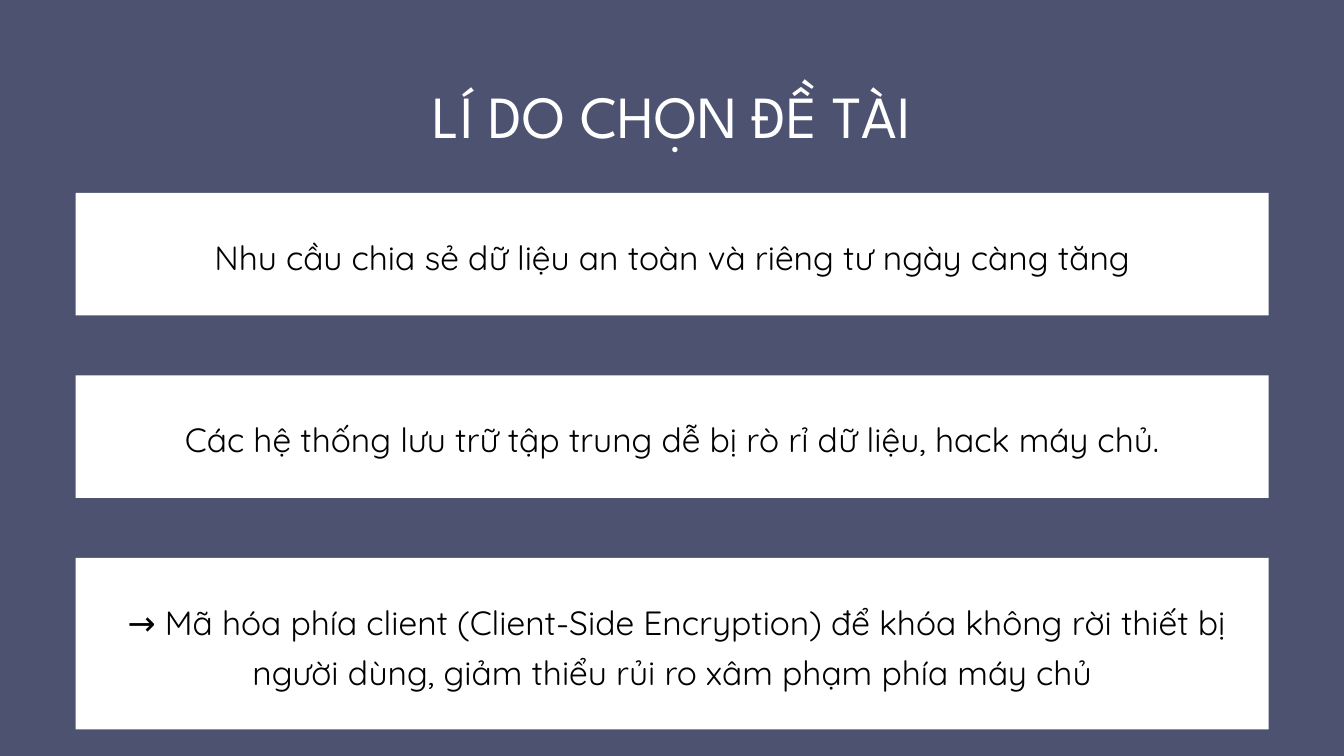
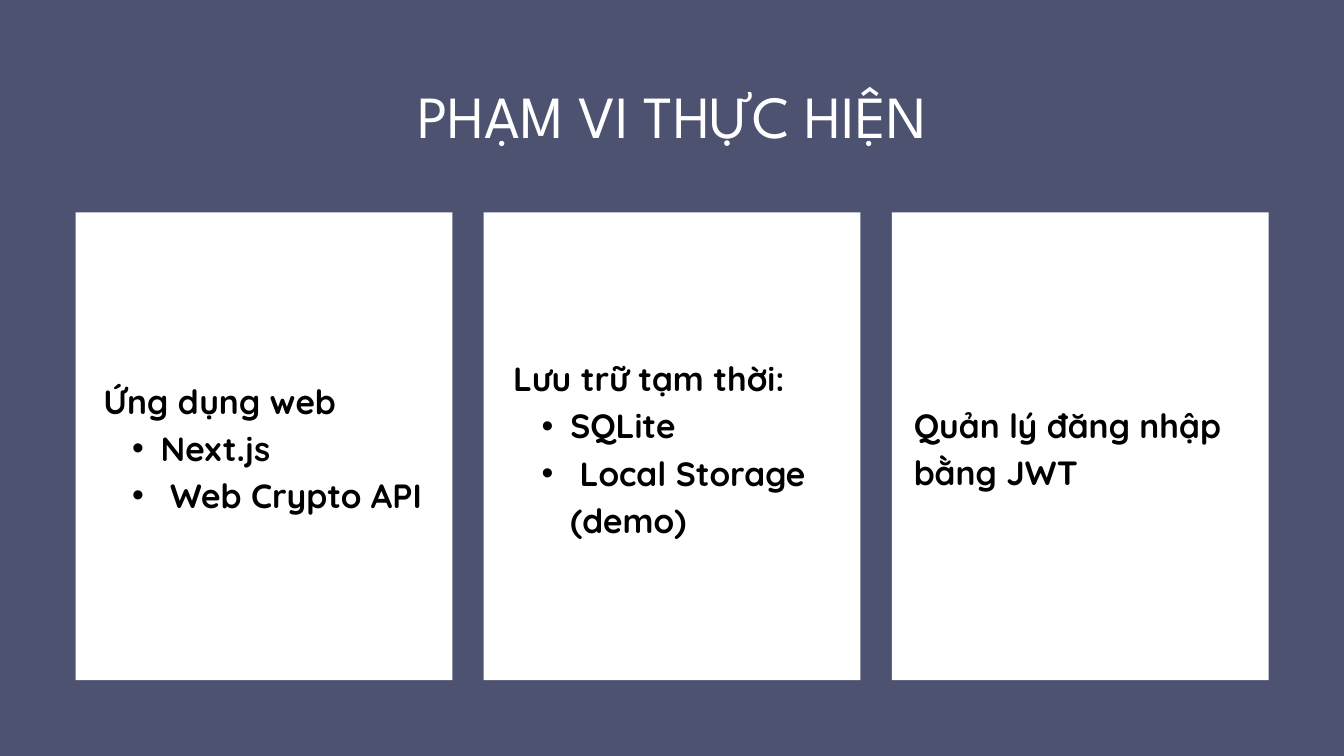
import pptx
import pptx.dml.color
import pptx.enum.shapes
import pptx.enum.text
import pptx.oxml.ns
import pptx.util
from lxml import etree
from pptx.util import Cm, Pt

# Shared look
SLATE = pptx.dml.color.RGBColor(0x4C, 0x52, 0x70)
WHITE = pptx.dml.color.RGBColor(0xFF, 0xFF, 0xFF)
BLACK = pptx.dml.color.RGBColor(0x00, 0x00, 0x00)
TITLE_FONT = "League Spartan"
BODY_FONT = "Quicksand"
CENTER = pptx.enum.text.PP_ALIGN.CENTER
LEFT = pptx.enum.text.PP_ALIGN.LEFT

# Shared layout, in centimetres
MARGIN = 2.86
CONTENT_WIDTH = 45.09
TITLE_BOX = (3.9, 2.52, 43, 3.04)

TITLE_ONLY, TWO_CONTENT = 5, 3


def place(shape, box):
    """Move a shape to a box given as left, top, width, height."""
    shape.left, shape.top, shape.width, shape.height = map(Cm, box)


def prepare_frame(shape):
    frame = shape.text_frame
    frame.word_wrap = True
    frame.auto_size = pptx.enum.text.MSO_AUTO_SIZE.NONE
    frame.vertical_anchor = pptx.enum.text.MSO_ANCHOR.TOP
    frame.margin_left = frame.margin_top = 0
    frame.margin_right = frame.margin_bottom = 0
    return frame


def set_bullet(paragraph, bulleted):
    properties = paragraph._p.get_or_add_pPr()
    qn = pptx.oxml.ns.qn
    properties.set("marL", str(Cm(2.16) if bulleted else 0))
    properties.set("indent", str(Cm(-1.08) if bulleted else 0))
    if bulleted:
        etree.SubElement(properties, qn("a:buFont"), typeface="Arial")
        etree.SubElement(properties, qn("a:buChar"), char="•")
    else:
        etree.SubElement(properties, qn("a:buNone"))


def style_paragraph(paragraph, font_name, size, color, leading, alignment, bold=False):
    paragraph.alignment = alignment
    paragraph.line_spacing = Pt(leading)
    paragraph.space_before = paragraph.space_after = Pt(0)
    font = paragraph.font
    font.name, font.size, font.bold = font_name, Pt(size), bold
    font.color.rgb = color


def add_titled_slide(presentation, layout_index, title):
    slide = presentation.slides.add_slide(presentation.slide_layouts[layout_index])
    place(slide.shapes.title, TITLE_BOX)
    frame = prepare_frame(slide.shapes.title)
    frame.text = title
    style_paragraph(frame.paragraphs[0], TITLE_FONT, 64, WHITE, 89.6, CENTER)
    return slide


def add_panel(slide, box):
    """Add a white panel behind everything else on the slide."""
    panel = slide.shapes.add_shape(
        pptx.enum.shapes.MSO_SHAPE.RECTANGLE, *map(Cm, box))
    panel.shadow.inherit = False
    panel.fill.solid()
    panel.fill.fore_color.rgb = WHITE
    panel.line.fill.background()
    slide.shapes._spTree.insert(2, panel._element)


def add_reason(slide, box, text, text_height):
    """A full-width bar with one centred statement."""
    left, top, width, height = box
    add_panel(slide, box)
    inset = 1.04
    text_box = slide.shapes.add_textbox(
        Cm(left + inset), Cm(top + 1.28), Cm(width - 2 * inset), Cm(text_height))
    frame = prepare_frame(text_box)
    frame.text = text
    style_paragraph(frame.paragraphs[0], BODY_FONT, 36, BLACK, 54, CENTER)


def add_scope_card(slide, box, text_shape, text_area, heading, items):
    """A card with a bold heading and, below it, bulleted items."""
    left, top, _, _ = box
    text_left, text_top, text_width, text_height = text_area
    add_panel(slide, box)
    place(text_shape, (left + text_left, top + text_top, text_width, text_height))
    frame = prepare_frame(text_shape)
    frame.text = "\n".join([heading, *items])
    for index, paragraph in enumerate(frame.paragraphs):
        bulleted = index > 0
        paragraph.level = int(bulleted)
        set_bullet(paragraph, bulleted)
        style_paragraph(paragraph, BODY_FONT, 36, BLACK, 50.4, LEFT, bold=True)


def build_reasons_slide(presentation):
    slide = add_titled_slide(presentation, TITLE_ONLY, "LÍ DO CHỌN ĐỀ TÀI")
    # Bar height, text height, text
    reasons = [
        (4.63, 5.59, "Nhu cầu chia sẻ dữ liệu an toàn và riêng tư ngày càng tăng"),
        (4.63, 1.78, "Các hệ thống lưu trữ tập trung dễ bị rò rỉ dữ liệu, hack máy chủ."),
        (6.48, 3.68, " → Mã hóa phía client (Client-Side Encryption) để khóa không rời "
                     "thiết bị người dùng, giảm thiểu rủi ro xâm phạm phía máy chủ"),
    ]
    top, gap = 7.29, 2.27
    for height, text_height, text in reasons:
        add_reason(slide, (MARGIN, top, CONTENT_WIDTH, height), text, text_height)
        top += height + gap


def build_scope_slide(presentation):
    slide = add_titled_slide(presentation, TWO_CONTENT, "PHẠM VI THỰC HIỆN")
    first_list, second_list = list(slide.placeholders)[1:3]
    login_text = slide.shapes.add_textbox(0, 0, 0, 0)
    # Text shape, text area inside the card, heading, items
    cards = [
        (first_list, (1.05, 6.1, 13.97, 5.23),
         "Ứng dụng web", ["Next.js", " Web Crypto API"]),
        (second_list, (1.11, 5.26, 11.99, 6.98),
         "Lưu trữ tạm thời:", ["SQLite", " Local Storage (demo)"]),
        (login_text, (0.83, 7.03, 12.57, 3.46),
         "Quản lý đăng nhập bằng JWT", []),
    ]
    card_width = 14.24
    pitch = (CONTENT_WIDTH - card_width) / (len(cards) - 1)
    for index, card in enumerate(cards):
        add_scope_card(slide, (MARGIN + index * pitch, 8.03, card_width, 17.68), *card)


def main():
    presentation = pptx.Presentation()
    presentation.slide_width, presentation.slide_height = Cm(50.8), Cm(28.575)
    background = presentation.slide_master.background.fill
    background.solid()
    background.fore_color.rgb = SLATE
    build_reasons_slide(presentation)
    build_scope_slide(presentation)
    presentation.save("out.pptx")


if __name__ == "__main__":
    main()
